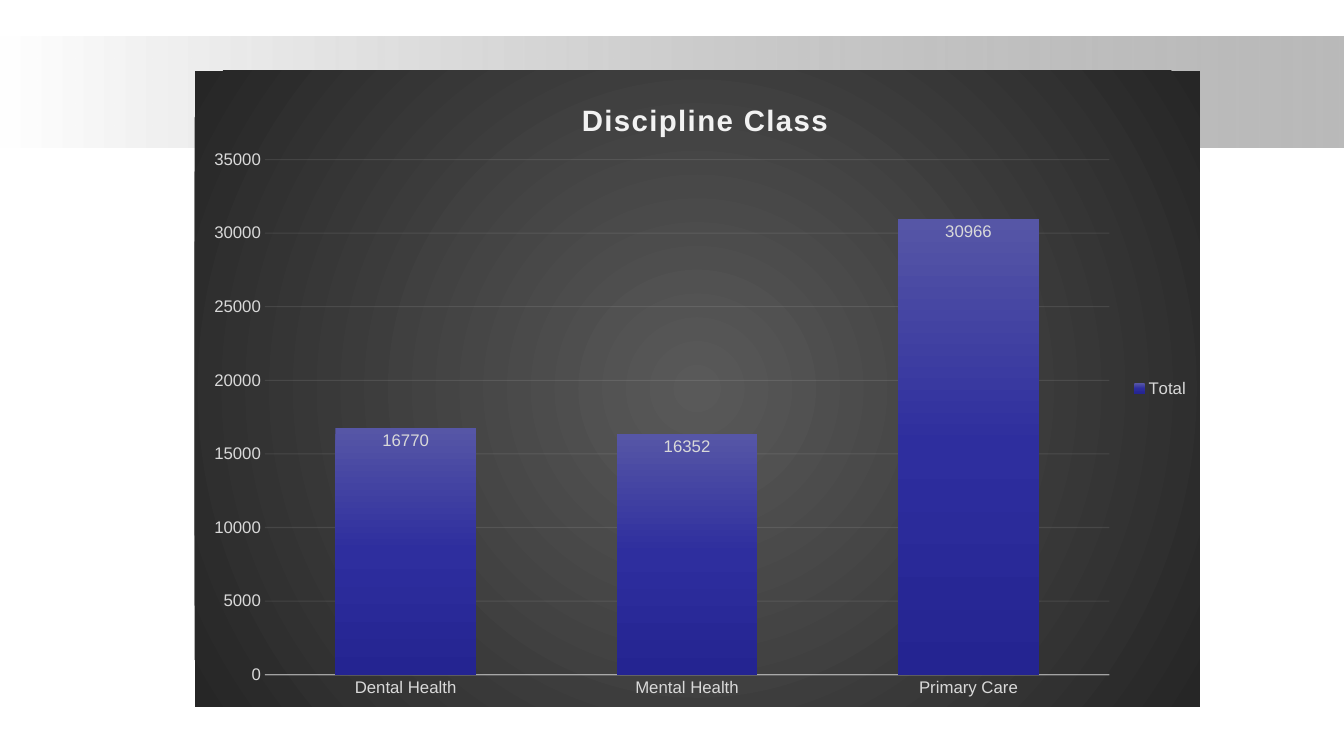
from pptx import Presentation
from pptx.chart.data import CategoryChartData
from pptx.dml.color import RGBColor
from pptx.enum.chart import XL_CHART_TYPE as ChartType, XL_LABEL_POSITION as LabelPosition
from pptx.enum.chart import XL_LEGEND_POSITION as LegendPosition, XL_TICK_MARK as TickMark
from pptx.enum.shapes import MSO_SHAPE as Shape
from pptx.oxml import parse_xml
from pptx.oxml.ns import nsdecls, qn
from pptx.util import Inches, Pt
from lxml import etree


def style_font(font, size=12, color="D9D9D9", bold=False):
    font.name, font.size, font.bold = "Arial", Pt(size), bold
    font.color.rgb = RGBColor.from_string(color)


def gradient(stops, direction):
    """Stops are (position %, colour, opacity %)."""
    marks = "".join(
        f'<a:gs pos="{position * 1000}"><a:srgbClr val="{color}">'
        f'<a:alpha val="{opacity * 1000}"/></a:srgbClr></a:gs>'
        for position, color, opacity in stops)
    return parse_xml(f'<a:gradFill {nsdecls("a")} rotWithShape="1">'
                     f'<a:gsLst>{marks}</a:gsLst>{direction}</a:gradFill>')


deck = Presentation()
deck.slide_width, deck.slide_height = Inches(13.33), Inches(7.5)
page = deck.slides.add_slide(deck.slide_layouts[6])

# Grey band fading in from the left
band = page.shapes.add_shape(Shape.RECTANGLE, 0, Inches(0.36), Inches(13.33), Inches(1.1))
band.shadow.inherit = False
band._element.spPr.insert(2, gradient([(0, "FFFFFF", 100), (100, "808080", 54)],
                                      '<a:lin ang="0" scaled="0"/>'))
band.line.fill.background()

# Column chart
data = CategoryChartData()
data.categories = ["Dental Health", "Mental Health", "Primary Care"]
data.add_series("Total", [16770, 16352, 30966])
chart = page.shapes.add_chart(ChartType.COLUMN_CLUSTERED, Inches(1.93), Inches(0.7),
                              Inches(9.97), Inches(6.31), data).chart
style_font(chart.font, 10, "000000")

# Dark radial background
backdrop = parse_xml(f'<c:spPr {nsdecls("c", "a")}><a:ln><a:noFill/></a:ln></c:spPr>')
backdrop.insert(0, gradient(
    [(0, "595959", 100), (100, "262626", 100)],
    '<a:path path="circle"><a:fillToRect l="50000" t="50000" r="50000" b="50000"/></a:path>'))
chart._chartSpace.find(qn("c:chart")).addnext(backdrop)

# Title and legend
chart.has_title = True
title = chart.chart_title
title.include_in_layout = False
title.text_frame.text = "Discipline Class"
span = title.text_frame.paragraphs[0].runs[0]
style_font(span.font, 21, "F2F2F2", bold=True)
span.font._element.set("spc", "100")
chart.has_legend = True
chart.legend.position = LegendPosition.RIGHT
chart.legend.include_in_layout = False
style_font(chart.legend.font)

# Columns and their values
plot = chart.plots[0]
plot.gap_width, plot.overlap, plot.vary_by_categories = 100, -24, False
total = plot.series[0]
total._element.get_or_add_spPr().insert(0, gradient(
    [(0, "5656A6", 100), (50, "2E2E9E", 100), (100, "242491", 100)],
    '<a:lin ang="5400000" scaled="0"/>'))
labels = total.data_labels
labels.show_value = True
labels.position = LabelPosition.INSIDE_END
style_font(labels.font)

# Axes and gridlines
names, values = chart.category_axis, chart.value_axis
for axis in (names, values):
    axis.major_tick_mark = axis.minor_tick_mark = TickMark.NONE
    style_font(axis.tick_labels.font)
values.minimum_scale, values.maximum_scale, values.major_unit = 0, 35000, 5000
values.has_major_gridlines = True
values.format.line.fill.background()
for line, width, opacity in ((names.format.line, 1, 54),
                             (values.major_gridlines.format.line, 0.75, 10)):
    line.width = Pt(width)
    line.color.rgb = RGBColor.from_string("F2F2F2")
    tint = line.fill._xPr.find(".//" + qn("a:srgbClr"))
    etree.SubElement(tint, qn("a:alpha")).set("val", str(opacity * 1000))

# Fixed places for the title and the plot, as shares of the chart
plot_area = chart._chartSpace.find(".//" + qn("c:plotArea"))
for part, index, target, place in (
        (title._element, 1, "", {"x": 0.38, "y": 0.04}),
        (plot_area, 0, '<c:layoutTarget val="inner"/>',
         {"x": 0.07, "y": 0.14, "w": 0.84, "h": 0.81})):
    for old in part.findall(qn("c:layout")):
        part.remove(old)
    modes = "".join(f'<c:{key}Mode val="edge"/>' for key in ("x", "y"))
    sizes = "".join(f'<c:{key} val="{share}"/>' for key, share in place.items())
    part.insert(index, parse_xml(f'<c:layout {nsdecls("c")}><c:manualLayout>'
                                 f'{target}{modes}{sizes}</c:manualLayout></c:layout>'))

deck.save("out.pptx")
